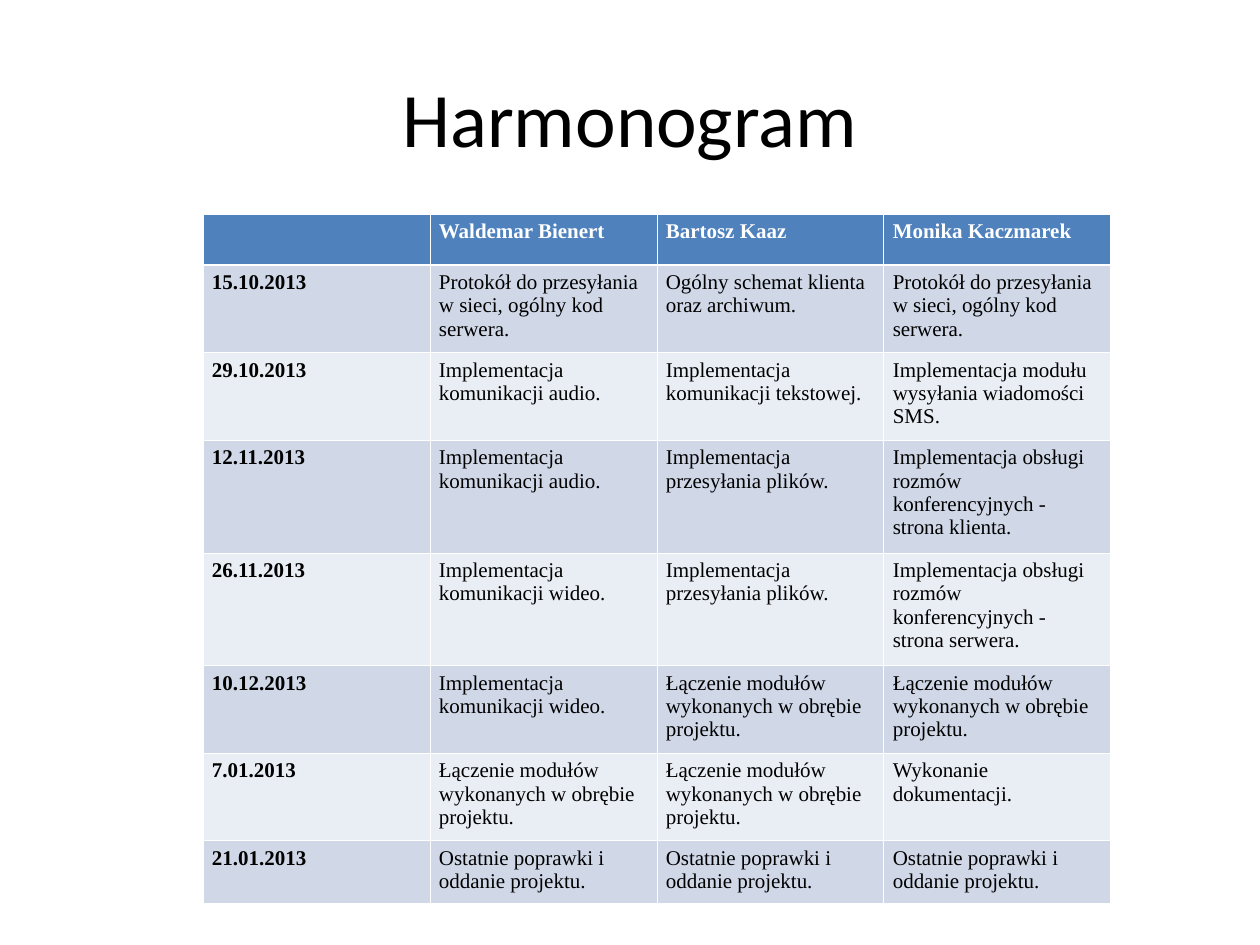
"""Build the project schedule slide."""
import pptx
import pptx.util
import pptx.dml.color
import pptx.enum.text
import pptx.oxml.ns
import lxml.etree

PX = 914400 // 126
HUES = {"head": "4F81BD", "odd": "D0D8E8", "even": "E9EDF4",
        "white": "FFFFFF", "black": "000000"}
SERIF = "Times New Roman"
AUDIO = "Implementacja komunikacji audio."
VIDEO = "Implementacja komunikacji wideo."
FILES = "Implementacja przesyłania plików."
NET = "Protokół do przesyłania w sieci, ogólny kod serwera."
TALKS = "Implementacja obsługi rozmów konferencyjnych - strona "
MERGE = "Łączenie modułów wykonanych w obrębie projektu."
LAST = "Ostatnie poprawki i oddanie projektu."
ROWS = [
    (51, "", "Waldemar Bienert", "Bartosz Kaaz", "Monika Kaczmarek"),
    (83, "15.10.2013", NET, "Ogólny schemat klienta oraz archiwum.", NET),
    (83, "29.10.2013", AUDIO, "Implementacja komunikacji tekstowej.",
     "Implementacja modułu wysyłania wiadomości SMS."),
    (106, "12.11.2013", AUDIO, FILES, TALKS + "klienta."),
    (106, "26.11.2013", VIDEO, FILES, TALKS + "serwera."),
    (83, "10.12.2013", VIDEO, MERGE, MERGE),
    (83, "7.01.2013", MERGE, MERGE, "Wykonanie dokumentacji."),
    (59, "21.01.2013", LAST, LAST, LAST),
]


def px(*nums):
    """Turn pixels into EMU lengths."""
    return [pptx.util.Emu(num * PX) for num in nums]


def tint(name):
    """Return the named colour."""
    return pptx.dml.color.RGBColor.from_string(HUES[name])


def write(frame, text, size=12, face=SERIF, hue="black", bold=False, align="LEFT"):
    """Put formatted text in a frame."""
    para = frame.paragraphs[0]
    para.text = text
    para.alignment = getattr(pptx.enum.text.PP_ALIGN, align)
    font = para.font
    font.size, font.name, font.bold = pptx.util.Pt(size), face, bold
    font.color.rgb = tint(hue)
    for run in para.runs:
        run.font.size, run.font.name, run.font.bold = font.size, face, bold
        run.font.color.rgb = tint(hue)


def edge(cell, side, width):
    """Draw one white border of a cell."""
    name = pptx.oxml.ns.qn
    line = lxml.etree.Element(name("a:ln" + side), w=str(pptx.util.Pt(width)))
    fill = lxml.etree.SubElement(line, name("a:solidFill"))
    lxml.etree.SubElement(fill, name("a:srgbClr"), val=HUES["white"])
    props = cell._tc.get_or_add_tcPr()
    props.insert("LRTB".index(side), line)


def title(slide, text):
    """Add the centred heading."""
    box = slide.shapes.add_textbox(*px(63, 38, 1134, 157))
    frame = box.text_frame
    frame.word_wrap = True
    frame.vertical_anchor = pptx.enum.text.MSO_ANCHOR.MIDDLE
    write(frame, text, size=44, face="Calibri", align="CENTER")


def style(cell, row, col, text):
    """Fill, frame and label one cell."""
    head = row == 0
    cell.margin_left, cell.margin_right = px(9, 9)
    cell.margin_top, cell.margin_bottom = px(6, 6)
    cell.fill.solid()
    cell.fill.fore_color.rgb = tint("head" if head else "odd" if row % 2 else "even")
    for side in "LRTB":
        thick = (row, side) in ((0, "B"), (1, "T"))
        edge(cell, side, 1.47 if thick else 0.45)
    write(cell.text_frame, text, hue="white" if head else "black",
          bold=head or col == 0)


def grid(slide):
    """Add the schedule table."""
    high = sum(row[0] for row in ROWS)
    shape = slide.shapes.add_table(len(ROWS), 4, *px(203, 214, 908, high))
    table = shape.table
    table.horz_banding = False
    for col in table.columns:
        col.width = px(227)[0]
    for row, (tall, *texts) in enumerate(ROWS):
        table.rows[row].height = px(tall)[0]
        for col, text in enumerate(texts):
            style(table.cell(row, col), row, col, text)


def main():
    """Build and save the slide."""
    deck = pptx.Presentation()
    deck.slide_width, deck.slide_height = px(1260, 945)
    slide = deck.slides.add_slide(deck.slide_layouts[6])
    title(slide, "Harmonogram")
    grid(slide)
    deck.save("out.pptx")


if __name__ == "__main__":
    main()
